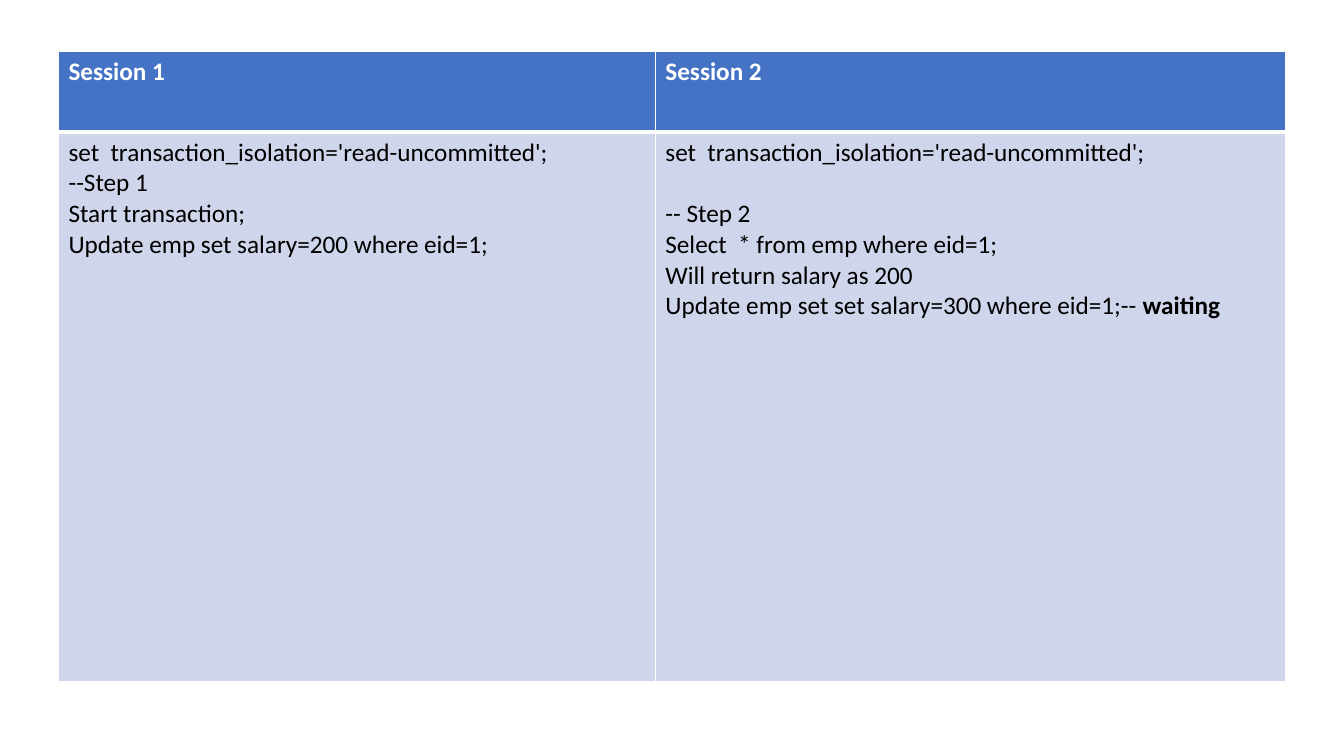
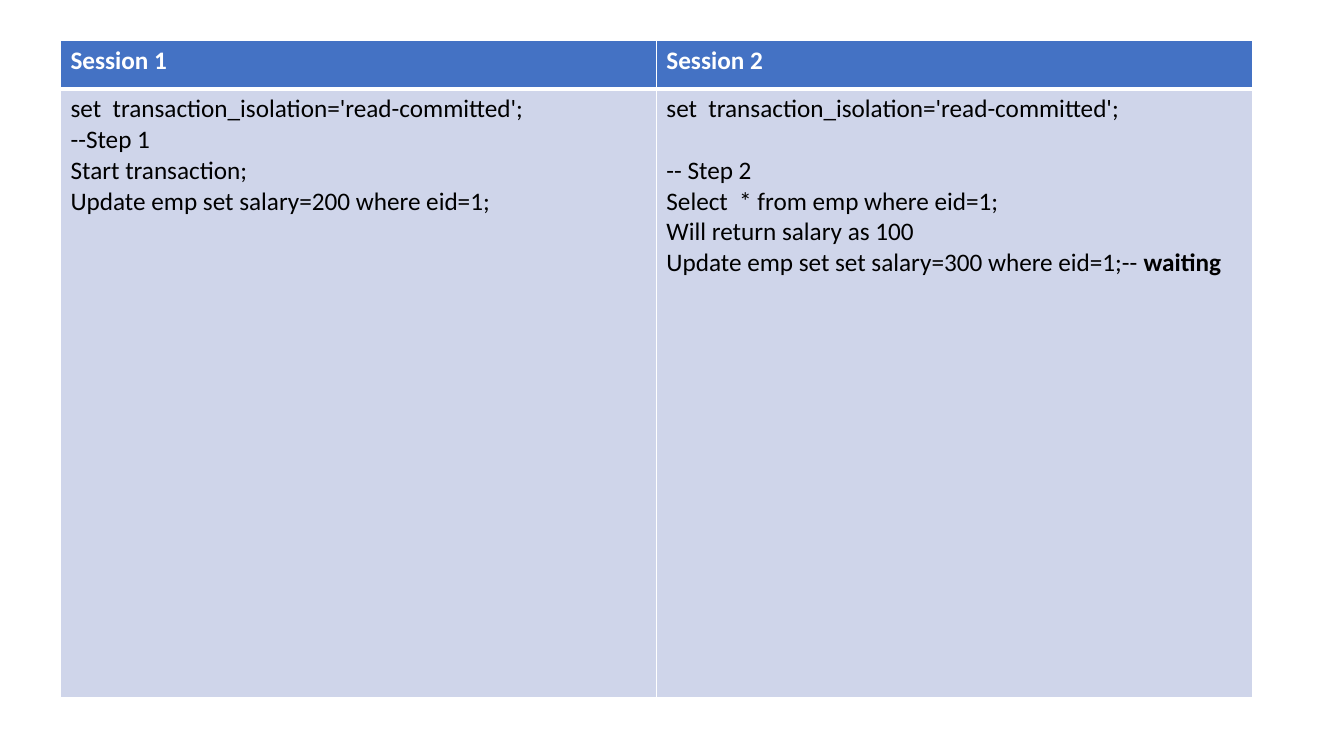
from lxml import etree
from pptx import Presentation
from pptx import util as u
from pptx.dml.color import RGBColor
from pptx.oxml.ns import qn

WHITE, BLACK, BLUE, PALE = "FFFFFF", "000000", "4472C4", "CFD5EA"
FONT, SIZE, LINE = "Calibri", 18, 22
HEADERS = ["Session 1", "Session 2"]
SLIDES = [
    dict(level="read-uncommitted", salary=200, left=0.58, top=0.51,
         cols=[5.92, 6.25], rows=[0.8, 5.45]),
    dict(level="read-committed", salary=100, left=0.6, top=0.4,
         cols=[5.91, 5.91], rows=[0.48, 6.04]),
]


def session_steps(level, salary):
    isolation = f"set  transaction_isolation='{level}';"
    writer = [
        isolation,
        "--Step 1",
        "Start transaction;",
        "Update emp set salary=200 where eid=1;",
    ]
    reader = [
        isolation,
        "-- Step 2",
        "Select  * from emp where eid=1;",
        f"Will return salary as {salary}",
        "Update emp set set salary=300 where eid=1;--",
    ]
    return writer, reader


def rgb(color):
    return RGBColor.from_string(color)


def add_run(p, text, color=BLACK, bold=False):
    r = p.add_run()
    r.text = text
    r.font.name, r.font.size, r.font.bold = FONT, u.Pt(SIZE), bold
    r.font.color.rgb = rgb(color)


def fill_cell(cell, lines, fill, **fmt):
    cell.fill.solid()
    cell.fill.fore_color.rgb = rgb(fill)
    tf = cell.text_frame
    for i, line in enumerate(lines):
        p = tf.add_paragraph() if i else tf.paragraphs[0]
        add_run(p, line, **fmt)


def set_borders(cell, **widths):
    tcPr = cell._tc.get_or_add_tcPr()
    for i, side in enumerate("LRTB"):
        ln = etree.Element(qn(f"a:ln{side}"), w=str(u.Pt(widths.get(side, 1))))
        solid = etree.SubElement(ln, qn("a:solidFill"))
        etree.SubElement(solid, qn("a:srgbClr"), val=WHITE)
        tcPr.insert(i, ln)


def add_session_table(s, level, salary, left, top, cols, rows):
    box = [u.Inches(v) for v in (left, top, sum(cols), sum(rows))]
    table = s.shapes.add_table(len(rows), len(cols), *box).table
    for column, width in zip(table.columns, cols):
        column.width = u.Inches(width)
    for row, height in zip(table.rows, rows):
        row.height = u.Inches(height)
    for c, (header, steps) in enumerate(zip(HEADERS, session_steps(level, salary))):
        head, body = table.cell(0, c), table.cell(1, c)
        fill_cell(head, [header], BLUE, color=WHITE, bold=True)
        fill_cell(body, steps, PALE)
        set_borders(head, B=3)
        set_borders(body, T=3)
    reader = table.cell(1, 1).text_frame.paragraphs
    reader[1].space_before = u.Pt(LINE)
    add_run(reader[-1], " waiting", bold=True)


def main():
    prs = Presentation()
    prs.slide_width, prs.slide_height = u.Inches(13.33), u.Inches(7.5)
    for spec_values in SLIDES:
        s = prs.slides.add_slide(prs.slide_layouts[6])
        add_session_table(s, **spec_values)
    prs.save("out.pptx")


if __name__ == "__main__":
    main()
